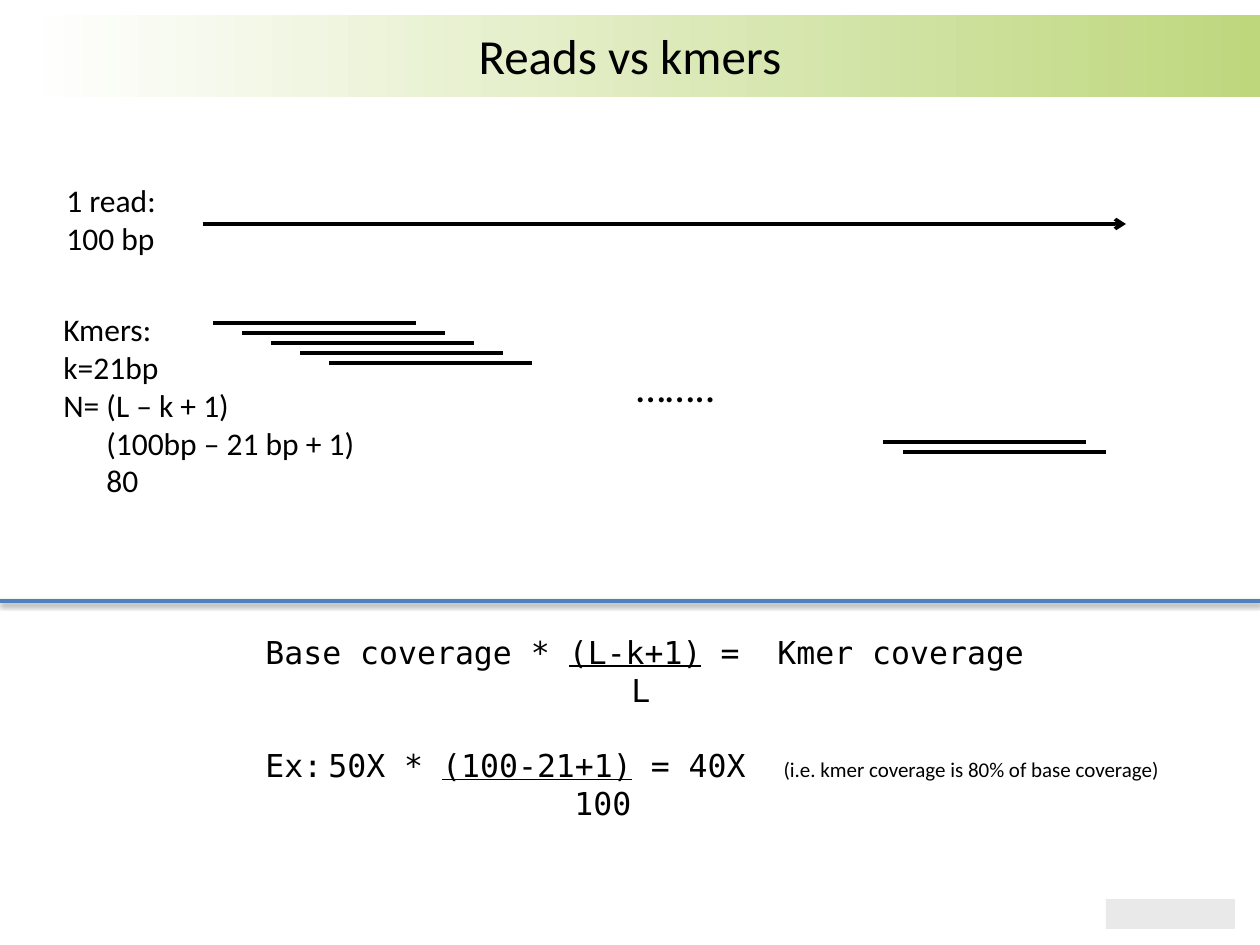
from lxml.etree import SubElement as Sub
from pptx import Presentation
from pptx.dml.color import RGBColor
from pptx.enum.shapes import MSO_CONNECTOR as Conn, MSO_SHAPE as Shape
from pptx.enum.text import MSO_ANCHOR as Anchor, PP_ALIGN as Align
from pptx.oxml.ns import qn
from pptx.util import Emu, Pt

SCALE = 914400 / 126
BLACK = RGBColor(0, 0, 0)
WHITE = RGBColor(0xFF, 0xFF, 0xFF)
GREEN = RGBColor(0xBE, 0xD7, 0x7D)
GREY = RGBColor(0xE9, 0xE9, 0xE9)
BLUE = RGBColor(0x4F, 0x81, 0xBD)
SANS = "Calibri"
MONO = "DejaVu Sans Mono"


def px(n):
    """Turn px into EMU."""
    return Emu(round(n * SCALE))


def rect(slide, box):
    """Add a plain rectangle without line or shadow."""
    shape = slide.shapes.add_shape(Shape.RECTANGLE, *map(px, box))
    shape.shadow.inherit = False
    shape.line.fill.background()
    return shape


def rule(slide, x1, y1, x2, y2, color=BLACK):
    """Add a straight line and return it with its empty effect list."""
    line = slide.shapes.add_connector(Conn.STRAIGHT, *map(px, (x1, y1, x2, y2)))
    line.line.color.rgb = color
    line.line.width = Pt(2)
    return line, Sub(line._element.spPr, qn("a:effectLst"))


def frame(slide, box):
    """Add a wrapping text box and return its text frame."""
    text = slide.shapes.add_textbox(*map(px, box)).text_frame
    text.word_wrap = True
    return text


def write(para, text, size=18, font=SANS, under=False):
    """Add one run to a paragraph."""
    run = para.add_run()
    run.text = text
    run.font.size = Pt(size)
    run.font.name = font
    run.font.color.rgb = BLACK
    if under:
        run.font.underline = True


def indent(para, left):
    """Set the left margin of a paragraph."""
    props = para._p.get_or_add_pPr()
    props.set("marL", str(px(left)))
    props.set("indent", "0")


def lines(slide, box, rows, size=18):
    """Write rows of text and indent, one paragraph each."""
    text = frame(slide, box)
    for i, (words, left) in enumerate(rows):
        para = text.add_paragraph() if i else text.paragraphs[0]
        indent(para, left)
        write(para, words, size)


def header(slide, x, y, w, h):
    """Place the gradient band and the title."""
    fill = rect(slide, (x + 25, y, w - 25, h)).fill
    fill.gradient()
    fill.gradient_angle = 0
    for stop, color in zip(fill.gradient_stops, (WHITE, GREEN)):
        stop.color.rgb = color
    text = frame(slide, (x + 63, y, w - 126, h - 2))
    text.vertical_anchor = Anchor.MIDDLE
    para = text.paragraphs[0]
    para.alignment = Align.CENTER
    write(para, "Reads vs kmers", 28)


def read(slide, x, y, w, h):
    """Place the read label and its arrow."""
    lines(slide, (x, y, 116, h), [("1 read:", 0), ("100 bp", 0)])
    arrow, _ = rule(slide, x + 149, y + 49, x + w, y + 49)
    Sub(arrow.line._get_or_add_ln(), qn("a:tailEnd"), type="arrow")


def stairs(slide, x, y, count, step):
    """Place equal lines, each shifted right and down."""
    for i in range(count):
        left, top = x + i * step, y + i * 10
        rule(slide, left, top, left + 203, top)


def kmers(slide, x, y, w, h):
    """Place the kmer count and the staggered kmers."""
    lines(slide, (x, y, 319, h), [
        ("Kmers:", 0), ("k=21bp", 0), ("N= (L – k + 1)", 0),
        ("(100bp – 21 bp + 1)", 43), ("80", 43)])
    stairs(slide, x + 162, y + 19, 5, 29)
    lines(slide, (x + 573, y + 50, 106, 63), [("……..", 0)], 24)
    stairs(slide, x + w - 223, y + 138, 2, 20)


def split(slide, x, y, w):
    """Place the blue divider with its soft shadow."""
    _, effects = rule(slide, x, y, x + w, y, BLUE)
    shade = Sub(effects, qn("a:outerShdw"), blurRad="39370", dist="20320",
                dir="5400000", rotWithShape="0")
    Sub(Sub(shade, qn("a:srgbClr"), val="000000"), qn("a:alpha"), val="38000")


def sums(slide, x, y, w, h):
    """Place the coverage formula and its example."""
    text = frame(slide, (x, y, w, h))
    top = text.paragraphs[0]
    write(top, "Base coverage * ", font=MONO)
    write(top, "(L-k+1)", font=MONO, under=True)
    write(top, " =  Kmer coverage", font=MONO)
    base = text.add_paragraph()
    indent(base, 366)
    write(base, "L", font=MONO)
    case = text.add_paragraph()
    case.space_before = Pt(21.5)
    write(case, "Ex:\t50X * ", font=MONO)
    write(case, "(100-21+1)", font=MONO, under=True)
    write(case, " = 40X  ", font=MONO)
    write(case, "(i.e. kmer coverage is 80% of base coverage)", 12)
    last = text.add_paragraph()
    indent(last, 309)
    write(last, "100", font=MONO)


def footer(slide, *box):
    """Place the grey block in the corner."""
    block = rect(slide, box)
    block.fill.solid()
    block.fill.fore_color.rgb = GREY


def main():
    """Build and save the slide."""
    deck = Presentation()
    deck.slide_width, deck.slide_height = px(1260), px(945)
    slide = deck.slides.add_slide(deck.slide_layouts[6])
    footer(slide, 1106, 899, 129, 30)
    header(slide, 0, 15, 1260, 82)
    read(slide, 54, 175, 1072, 89)
    kmers(slide, 51, 304, 1055, 204)
    split(slide, 0, 601, 1260)
    sums(slide, 253, 627, 987, 242)
    deck.save("out.pptx")


if __name__ == "__main__":
    main()
